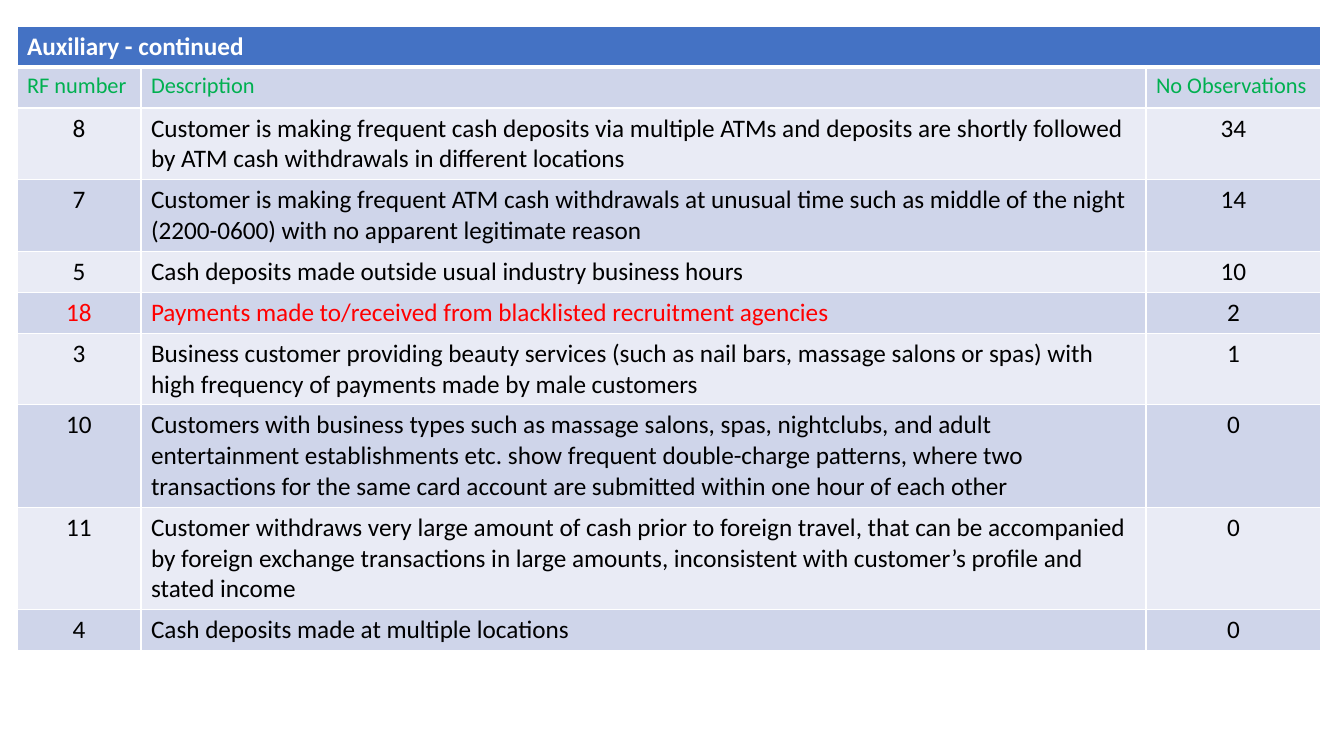
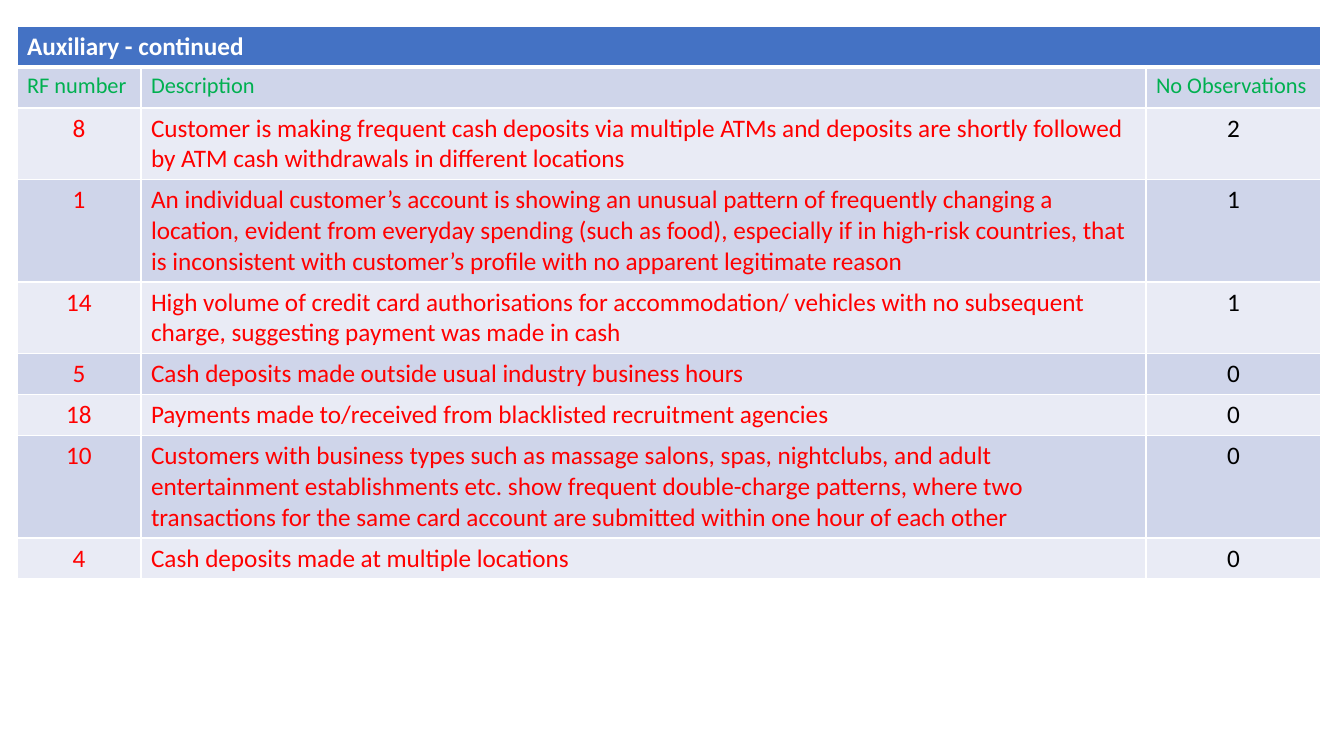
import pptx
import pptx.dml.color
import pptx.enum.text
import pptx.oxml
import pptx.oxml.ns
import pptx.util

# Shared scale, colours and table layout
SCALE = 914400 / 100.8
FONT = "Calibri"
WHITE, BLACK, RED, GREEN = "FFFFFF", "000000", "FF0000", "00B050"
HEADER_BLUE = "4472C4"
BANDS = ["CFD5EA", "E9EBF5"]
LEFT, TOP, ROW_HEIGHT = 17, 26, 41
COLUMN_WIDTHS = [124, 1005, 175]
TITLE = "Auxiliary - continued"
HEADINGS = ["RF number", "Description", "No Observations"]
THIN, THICK = 1, 3

# Red flag descriptions by RF number
DESCRIPTIONS = {
    1: "An individual customer’s account is showing an unusual pattern of frequently "
       "changing a location, evident from everyday spending (such as food), especially "
       "if in high-risk countries, that is inconsistent with customer’s profile with no "
       "apparent legitimate reason",
    3: "Business customer providing beauty services (such as nail bars, massage salons "
       "or spas) with high frequency of payments made by male customers",
    4: "Cash deposits made at multiple locations",
    5: "Cash deposits made outside usual industry business hours",
    7: "Customer is making frequent ATM cash withdrawals at unusual time such as middle "
       "of the night (2200-0600) with no apparent legitimate reason",
    8: "Customer is making frequent cash deposits via multiple ATMs and deposits are "
       "shortly followed by ATM cash withdrawals in different locations",
    10: "Customers with business types such as massage salons, spas, nightclubs, and "
        "adult entertainment establishments etc. show frequent double-charge patterns, "
        "where two transactions for the same card account are submitted within one hour "
        "of each other",
    11: "Customer withdraws very large amount of cash prior to foreign travel, that can "
        "be accompanied by foreign exchange transactions in large amounts, inconsistent "
        "with customer’s profile and stated income",
    14: "High volume of credit card authorisations for accommodation/ vehicles with no "
        "subsequent charge, suggesting payment was made in cash",
    18: "Payments made to/received from blacklisted recruitment agencies",
}

# For each slide: observations by RF number, and the RF numbers shown in red
SLIDES = [
    ({8: 34, 7: 14, 5: 10, 18: 2, 3: 1, 10: 0, 11: 0, 4: 0}, {18}),
    ({8: 2, 1: 1, 14: 1, 5: 0, 18: 0, 10: 0, 4: 0}, {8, 1, 14, 5, 18, 10, 4}),
]


def px(length):
    return pptx.util.Emu(round(length * SCALE))


def fill_cell(cell, text, fill, color, size=18, bold=False, centred=False,
              top=THIN, bottom=THIN):
    cell.fill.solid()
    cell.fill.fore_color.rgb = pptx.dml.color.RGBColor.from_string(fill)
    para = cell.text_frame.paragraphs[0]
    if centred:
        para.alignment = pptx.enum.text.PP_ALIGN.CENTER
    if text:
        span = para.add_run()
        span.text = text
        span.font.name = FONT
        span.font.size = pptx.util.Pt(size)
        span.font.bold = bold
        span.font.color.rgb = pptx.dml.color.RGBColor.from_string(color)
    # Borders go before the fill in the cell properties
    properties = cell._tc.get_or_add_tcPr()
    sides = [("lnL", THIN), ("lnR", THIN), ("lnT", top), ("lnB", bottom)]
    for position, (side, width) in enumerate(sides):
        border = pptx.oxml.parse_xml(
            f'<a:{side} {pptx.oxml.ns.nsdecls("a")} w="{pptx.util.Pt(width)}">'
            f'<a:solidFill><a:srgbClr val="{WHITE}"/></a:solidFill></a:{side}>')
        properties.insert(position, border)


deck = pptx.Presentation()
deck.slide_width, deck.slide_height = px(1344), px(756)

for observations, red_numbers in SLIDES:
    page = deck.slides.add_slide(deck.slide_layouts[6])
    row_count = len(observations) + 2
    table = page.shapes.add_table(
        row_count, len(COLUMN_WIDTHS), px(LEFT), px(TOP),
        px(sum(COLUMN_WIDTHS)), px(ROW_HEIGHT * row_count)).table
    for column, width in zip(table.columns, COLUMN_WIDTHS):
        column.width = px(width)
    for row in table.rows:
        row.height = px(ROW_HEIGHT)

    # Title row across all columns
    table.cell(0, 0).merge(table.cell(0, 2))
    for column, text in enumerate([TITLE, "", ""]):
        fill_cell(table.cell(0, column), text, HEADER_BLUE, WHITE, bold=True,
                  bottom=THICK)

    # Column headings
    for column, heading in enumerate(HEADINGS):
        fill_cell(table.cell(1, column), heading, BANDS[0], GREEN, size=16, top=THICK)

    # One banded row for each red flag
    for row, (number, count) in enumerate(observations.items(), start=2):
        band = BANDS[(row - 1) % 2]
        color = RED if number in red_numbers else BLACK
        fill_cell(table.cell(row, 0), str(number), band, color, centred=True)
        fill_cell(table.cell(row, 1), DESCRIPTIONS[number], band, color)
        fill_cell(table.cell(row, 2), str(count), band, BLACK, centred=True)

deck.save("out.pptx")
